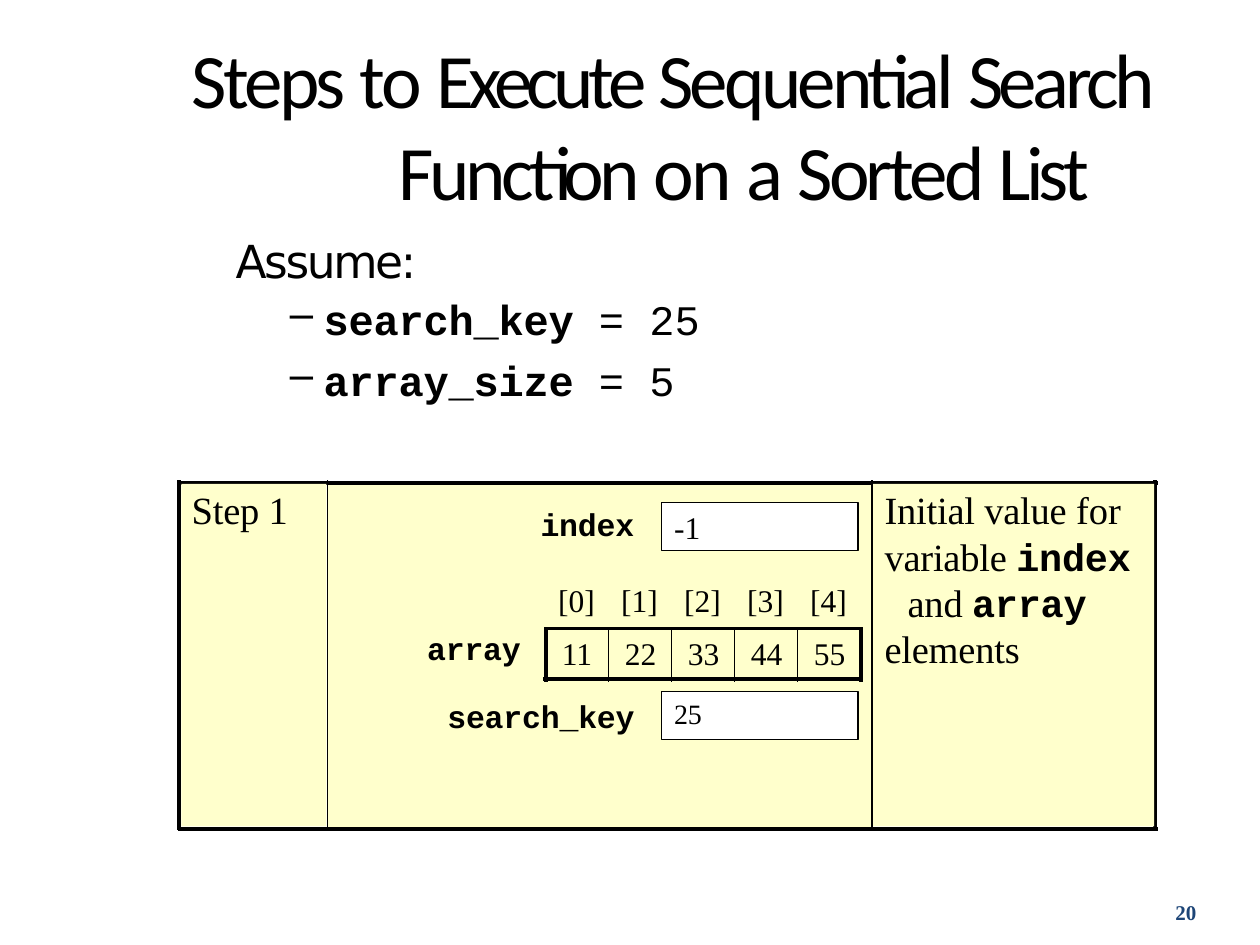
from lxml.etree import SubElement
from pptx import Presentation
from pptx.dml.color import RGBColor
from pptx.enum.shapes import MSO_CONNECTOR, MSO_SHAPE
from pptx.enum.text import MSO_ANCHOR, MSO_AUTO_SIZE, PP_ALIGN
from pptx.oxml.ns import qn
from pptx.util import Pt

BLACK = RGBColor(0, 0, 0)
WHITE = RGBColor(255, 255, 255)
CREAM = RGBColor(0xFF, 0xFF, 0xCC)
NAVY = RGBColor(0x1D, 0x45, 0x77)

SERIF, MONO = "Times New Roman", "Courier New"
HEAD = dict(name="Calibri", size=Pt(44))
LEAD = dict(name="DejaVu Sans", size=Pt(26))
CODE = dict(name=MONO, size=Pt(24), bold=True)
VALUE = dict(name=MONO, size=Pt(24))
NOTE = dict(name=SERIF, size=Pt(22))
TERM = dict(name=MONO, size=Pt(22), bold=True)
CELL = dict(name=SERIF, size=Pt(18))
KEY = dict(name=SERIF, size=Pt(16))
LABEL = dict(name=MONO, size=Pt(18), bold=True)
PAGE = dict(name=SERIF, size=Pt(12), bold=True)

TITLE = [("Steps ", HEAD, -2.1), ("to ", HEAD, -1.8), ("Execute ", HEAD, -3.2),
         ("Sequential ", HEAD, -2.2), ("Search Function ", HEAD, -2.6),
         ("on ", HEAD, -1.7), ("a ", HEAD, -1.6), ("Sorted ", HEAD, -2.2),
         ("List", HEAD, -2.8)]
GIVEN = [("search_key ", "= 25", 3.5), ("array_size ", "= 5", 5.8)]
STEP = [("Step 1", NOTE, -0.1)]
REMARK = [("Initial value ", NOTE, -0.1), ("for", NOTE, 0), "br",
          ("variable ", NOTE, -0.1), ("index", TERM, -0.1), "br",
          (" ", TERM, -0.1), ("and ", NOTE, -0.1), ("array", TERM, -0.1), "br",
          ("elements", NOTE, -0.1)]
ITEMS = [11, 22, 33, 44, 55]
LABELS = [("index", 308.9, 288, 55), ("array", 244.1, 358.6, 55),
          ("search_key", 255.6, 397.4, 109)]
FIELDS = [("-1", CELL, 287.3, 3), ("25", KEY, 395.3, 3.1)]

LEFT, RIGHT, TOP, FOOT = 102.24, 660.24, 275.76, 473.76
SPLITS = [187.2, 498.24]
GRID, STRIDE, ROOF, BASE = 311.76, 36, 358.56, 388.08

deck = Presentation()
deck.slide_width, deck.slide_height = Pt(720), Pt(540)
slide = deck.slides.add_slide(deck.slide_layouts[6])
shapes = slide.shapes


def write(para, runs, left=0, hang=0, tint=BLACK, mark=None, tabs=(), **form):
    for name, value in form.items():
        setattr(para, name, value)
    props = para._p.get_or_add_pPr()
    props.set("marL", str(Pt(left)))
    props.set("indent", str(Pt(hang)))
    if mark:
        SubElement(props, qn("a:buChar")).set("char", mark)
    if tabs:
        stops = SubElement(props, qn("a:tabLst"))
        for spot in tabs:
            stop = SubElement(stops, qn("a:tab"))
            stop.set("pos", str(Pt(spot)))
            stop.set("algn", "l")
    for part in runs:
        if part == "br":
            para.add_line_break()
            continue
        text, style, gap = part
        run = para.add_run()
        run.text = text
        for name, value in style.items():
            setattr(run.font, name, value)
        run.font.color.rgb = tint
        run._r.get_or_add_rPr().set("spc", str(round(gap * 100)))


def frame(shape, inset, anchor=MSO_ANCHOR.TOP, fit=MSO_AUTO_SIZE.NONE):
    look = dict(word_wrap=True, auto_size=fit, vertical_anchor=anchor,
                margin_left=0, margin_right=0, margin_bottom=0,
                margin_top=Pt(inset))
    for name, value in look.items():
        setattr(shape.text_frame, name, value)
    return shape.text_frame.paragraphs[0]


def text(x, y, w, h, inset=0.72, anchor=MSO_ANCHOR.TOP):
    box = shapes.add_textbox(Pt(x), Pt(y), Pt(w), Pt(h))
    return frame(box, inset, anchor, MSO_AUTO_SIZE.SHAPE_TO_FIT_TEXT)


def block(x, y, w, h, fill, inset=0, edge=False):
    box = shapes.add_shape(MSO_SHAPE.RECTANGLE, Pt(x), Pt(y), Pt(w), Pt(h))
    box.shadow.inherit = False
    box.fill.solid()
    box.fill.fore_color.rgb = fill
    if edge:
        box.line.color.rgb = BLACK
        box.line.width = Pt(0.75)
    else:
        box.line.fill.background()
    para = frame(box, inset)
    para.alignment = PP_ALIGN.LEFT
    return para


def rule(x, y, end, foot, width):
    line = shapes.add_connector(MSO_CONNECTOR.STRAIGHT, Pt(x), Pt(y), Pt(end), Pt(foot))
    line.line.color.rgb = BLACK
    line.line.width = Pt(width)
    SubElement(line._element.spPr, qn("a:effectLst"))


write(text(36, 21.6, 648, 90, 7.92, MSO_ANCHOR.MIDDLE), TITLE, 130.3, -83.5,
      alignment=PP_ALIGN.CENTER, space_before=Pt(0.9))

para = text(133.9, 128.2, 268.6, 103.7, 5.04)
write(para, [("Assume:", LEAD, -1.4)], 0.7, space_before=Pt(4.8))
for name, value, gap in GIVEN:
    write(para._parent.add_paragraph(), [(name, CODE, -0.1), (value, VALUE, 0)],
          51.1, -19.4, mark="–", space_before=Pt(gap))

write(text(671, 513.4, 13.7, 16.6), [("20", PAGE, 0)], 0.7,
      tint=NAVY, space_before=Pt(1))

block(SPLITS[0], TOP, SPLITS[1] - SPLITS[0], FOOT - TOP, CREAM)
for x in SPLITS:
    rule(x, TOP - 1.4, x, FOOT + 0.7, 1)
for x in (LEFT, RIGHT):
    rule(x, TOP - 1.4, x, FOOT + 0.7, 2.25)
for y in (TOP, FOOT):
    rule(LEFT - 0.7, y, RIGHT + 1.4, y, 2.25)
for x, w, runs, pad in ((103.7, 82.8, STEP, 5.8), (499, 160.6, REMARK, 6.5)):
    write(block(x, 276.5, w, 195.8, CREAM, 1.44), runs, pad, space_before=Pt(1.8))

for word, style, y, gap in FIELDS:
    write(block(378, y, 112.3, 27.4, WHITE, 2.88, True), [(word, style, 0)], 7.2,
          space_before=Pt(gap))

count = len(ITEMS)
for i in range(count + 1):
    x = GRID + i * STRIDE
    rule(x, ROOF, x, BASE + 1.4, 1 if 0 < i < count else 2.25)
rule(GRID - 1.4, BASE, GRID + count * STRIDE + 1.4, BASE, 2.25)
write(text(321.1, 361.4, 162.7, 23.8), [("\t".join(map(str, ITEMS)), CELL, 0)],
      tabs=[i * STRIDE for i in range(1, count)], space_before=Pt(1))

table = shapes.add_table(1, count, Pt(GRID), Pt(334.1), Pt(count * STRIDE), Pt(25.2)).table
table.first_row = table.horz_banding = False
table._tbl.tblPr[0].text = "{2D5ABB26-0587-4C30-8999-92F81FD0307C}"
for i, cell in enumerate(table.iter_cells()):
    for side in ("left", "right", "top", "bottom"):
        setattr(cell, "margin_" + side, 0)
    edge = SubElement(cell._tc.get_or_add_tcPr(), qn("a:lnB"))
    edge.set("w", str(Pt(2.25)))
    paint = SubElement(edge, qn("a:solidFill"))
    SubElement(paint, qn("a:srgbClr")).set("val", str(BLACK))
    cell.fill.solid()
    cell.fill.fore_color.rgb = CREAM
    write(cell.text_frame.paragraphs[0], [(f"[{i}]", CELL, 0)], 7.2,
          line_spacing=Pt(19.6))

for word, x, y, w in LABELS:
    write(text(x, y, w, 23.8), [(word, LABEL, -0.1)], space_before=Pt(1))

deck.save("out.pptx")
